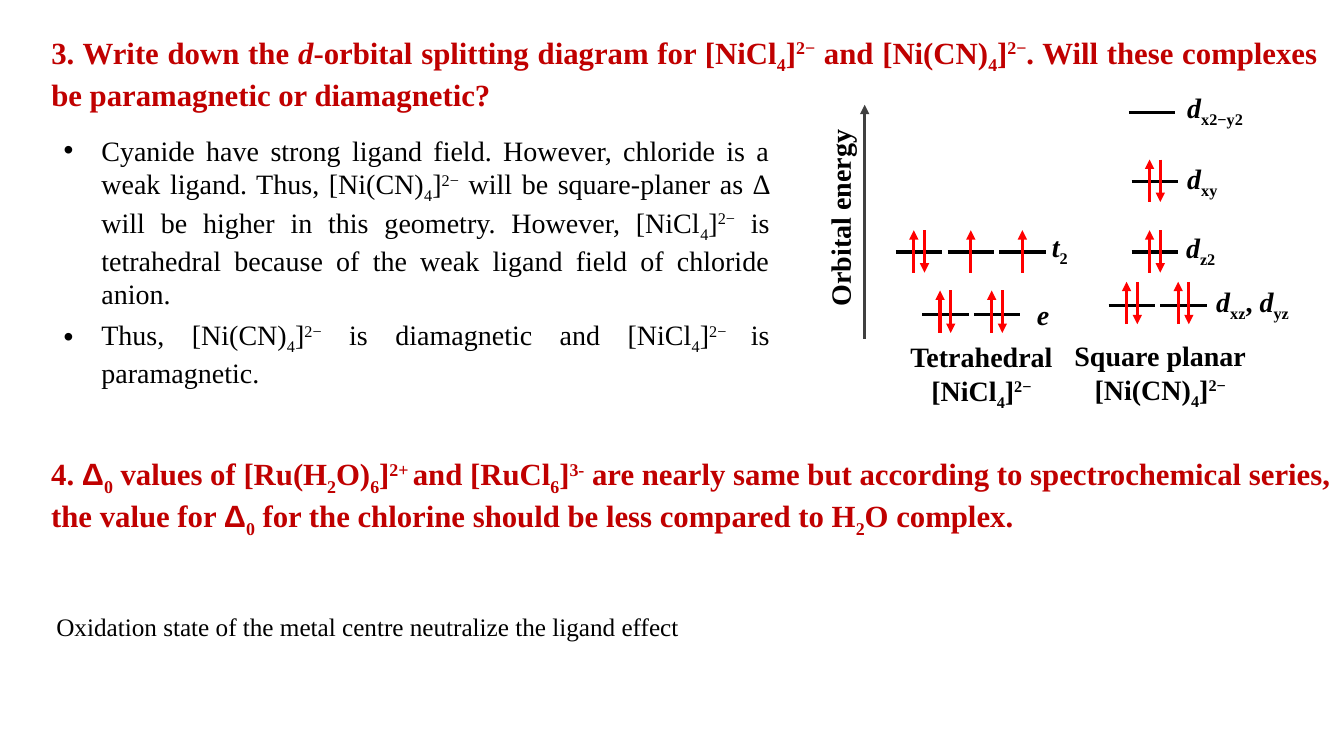
from dataclasses import dataclass
from lxml import etree
from pptx import Presentation
from pptx.dml.color import RGBColor
from pptx.enum.shapes import MSO_CONNECTOR
from pptx.enum.text import MSO_ANCHOR, MSO_AUTO_SIZE, PP_ALIGN
from pptx.oxml.ns import qn
from pptx.util import Cm, Pt


@dataclass(frozen=True)
class Theme:
    font: str = "Times New Roman"
    delta_font: str = "Arial"
    heading: RGBColor = RGBColor(0xC0, 0, 0)
    ink: RGBColor = RGBColor(0, 0, 0)
    axis: RGBColor = RGBColor(0x40, 0x40, 0x40)
    electron: RGBColor = RGBColor(0xFF, 0, 0)
    heading_size: int = 22
    body_size: int = 20
    note_size: int = 18
    level_width: float = 2.5
    arrow_width: float = 2.25


THEME = Theme()
BASELINES = {"_": "-25000", "^": "30000"}

# Orbital level geometry in cm
LEVEL_LENGTH = 1.17
LEVEL_STEP = 1.3
ARROW_LENGTH = 1.07
PAIR_GAP = 0.27

# Text markup: pieces split by "|"; _ subscript, ^ superscript, / italic, ~ delta font
NICL4 = "[NiCl|_4|]|^2−|"
NICN4 = "[Ni(CN)|_4|]|^2−|"
QUESTION_3 = (f"3. Write down the |/d|-orbital splitting diagram for {NICL4} and {NICN4}"
              ". Will these complexes be paramagnetic or diamagnetic?")
QUESTION_4 = ("4. |~Δ|_0| values of [Ru(H|_2|O)|_6|]|^2+ |and [RuCl|_6|]|^3-| are nearly same "
              "but according to spectrochemical series, the value for |~Δ|_0| for the chlorine "
              "should be less compared to H|_2|O complex.")
ANSWERS = [
    "Cyanide have strong ligand field. However, chloride is a weak ligand. Thus, "
    f"{NICN4} will be square-planer as Δ will be higher in this geometry. However, {NICL4}"
    " is tetrahedral because of the weak ligand field of chloride anion.",
    f"Thus, {NICN4} is diamagnetic and [NiCl|_4|]|^2− |is paramagnetic.",
]
NOTE = "Oxidation state of the metal centre neutralize the ligand effect"

# Levels: first left, height, electrons per orbital, arrow rise above the level
LEVELS = [
    (22.58, 6.35, ["↑↓", "↑", "↑"], 0.55),  # t2
    (23.24, 7.92, ["↑↓", "↑↓"], 0.6),       # e
    (28.45, 2.84, [""], 0),                 # dx2−y2
    (28.52, 4.57, ["↑↓"], 0.55),            # dxy
    (28.52, 6.35, ["↑↓"], 0.55),            # dz2
    (27.94, 7.7, ["↑↓", "↑↓"], 0.6),        # dxz, dyz
]
# Labels: markup, left, top, width
LABELS = [
    ("/t|_2", 26.26, 5.66, 0.94),
    ("/e", 25.88, 7.37, 0.84),
    ("/d|_x2−y2", 29.67, 2.16, 2.08),
    ("/d|_xy", 29.67, 3.94, 1.35),
    ("/d|_z2", 29.64, 5.69, 1.32),
    ("/d|_xz|, |/d|_yz", 30.4, 7.04, 2.46),
]
CAPTIONS = [
    (["Tetrahedral", NICL4], 22.68, 8.43, 4.11),
    (["Square planar", NICN4], 26.8, 8.41, 4.88),
]


def place(shape, left, top, width, height):
    shape.left, shape.top = Cm(left), Cm(top)
    shape.width, shape.height = Cm(width), Cm(height)


def write_runs(paragraph, markup, size, color, bold):
    for piece in filter(None, markup.split("|")):
        mark = piece[0] if piece[0] in "_^/~" else ""
        run = paragraph.add_run()
        run.text = piece[len(mark):]
        font = run.font
        font.name = THEME.delta_font if mark == "~" else THEME.font
        font.size, font.bold, font.italic = Pt(size), bold, mark == "/"
        font.color.rgb = color
        if mark in BASELINES:
            run._r.get_or_add_rPr().set("baseline", BASELINES[mark])


def fill_text(shape, lines, size=THEME.body_size, color=THEME.ink, bold=False,
              align=PP_ALIGN.LEFT, wrap=True):
    frame = shape.text_frame
    frame.word_wrap = wrap
    frame.auto_size = MSO_AUTO_SIZE.NONE
    frame.vertical_anchor = MSO_ANCHOR.TOP
    for index, markup in enumerate(lines):
        paragraph = frame.add_paragraph() if index else frame.paragraphs[0]
        paragraph.alignment = align
        paragraph.space_before = Pt(0)
        write_runs(paragraph, markup, size, color, bold)
    return frame


def add_text(shapes, lines, left, top, width, height, **style):
    box = shapes.add_textbox(Cm(left), Cm(top), Cm(width), Cm(height))
    fill_text(box, lines, **style)
    return box


def add_bullets(frame, indent, gap):
    for index, paragraph in enumerate(frame.paragraphs):
        paragraph.space_before = Pt(gap if index else 0)
        props = paragraph._p.get_or_add_pPr()
        props.set("marL", str(Cm(indent)))
        props.set("indent", str(-Cm(indent)))
        etree.SubElement(props, qn("a:buFont")).set("typeface", "Arial")
        etree.SubElement(props, qn("a:buChar")).set("char", "•")


def add_line(shapes, start, end, color, width, arrow=False):
    line = shapes.add_connector(MSO_CONNECTOR.STRAIGHT, *map(Cm, start + end))
    line.line.color.rgb = color
    line.line.width = Pt(width)
    if arrow:
        etree.SubElement(line.line._get_or_add_ln(), qn("a:tailEnd")).set("type", "triangle")
    etree.SubElement(line._element.spPr, qn("a:effectLst"))


def add_orbital(shapes, left, y, electrons, rise):
    add_line(shapes, (left, y), (left + LEVEL_LENGTH, y), THEME.ink, THEME.level_width)
    first = left + (LEVEL_LENGTH - PAIR_GAP * (len(electrons) - 1)) / 2
    for index, spin in enumerate(electrons):
        x = first + index * PAIR_GAP
        top, bottom = (x, y - rise), (x, y - rise + ARROW_LENGTH)
        start, end = (bottom, top) if spin == "↑" else (top, bottom)
        add_line(shapes, start, end, THEME.electron, THEME.arrow_width, arrow=True)


def add_splitting_diagram(slide):
    shapes = slide.shapes.add_group_shape().shapes
    # Energy axis
    add_line(shapes, (21.79, 8.53), (21.79, 2.64), THEME.axis, THEME.arrow_width, arrow=True)
    axis_title = add_text(shapes, ["Orbital energy"], 18.59, 4.83, 5.16, 1.12, bold=True)
    axis_title.rotation = 270
    # Levels with their electrons
    for left, y, orbitals, rise in LEVELS:
        for index, electrons in enumerate(orbitals):
            add_orbital(shapes, left + index * LEVEL_STEP, y, electrons, rise)
    # Level labels and captions
    for markup, left, top, width in LABELS:
        add_text(shapes, [markup], left, top, width, 1.12, bold=True, wrap=False)
    for lines, left, top, width in CAPTIONS:
        add_text(shapes, lines, left, top, width, 1.96, bold=True,
                 align=PP_ALIGN.CENTER, wrap=False)


def main():
    deck = Presentation()
    deck.slide_width, deck.slide_height = Cm(33.87), Cm(19.05)
    slide = deck.slides.add_slide(deck.slide_layouts[1])
    heading = dict(size=THEME.heading_size, color=THEME.heading, bold=True)

    # Question 3 and its answer
    title, body = slide.shapes.title, slide.placeholders[1]
    place(title, 1.04, 0.71, 32.41, 2.13)
    fill_text(title, [QUESTION_3], align=PP_ALIGN.JUSTIFY, **heading)
    place(body, 1.35, 3.23, 18.3, 6.63)
    add_bullets(fill_text(body, ANSWERS, align=PP_ALIGN.JUSTIFY), indent=0.95, gap=5)
    add_splitting_diagram(slide)

    # Question 4 and its answer
    add_text(slide.shapes, [QUESTION_4], 1.04, 11.33, 32.94, 2.13, **heading)
    add_text(slide.shapes, [NOTE], 1.17, 15.29, 29.51, 1.02, size=THEME.note_size)

    deck.save("out.pptx")


main()
